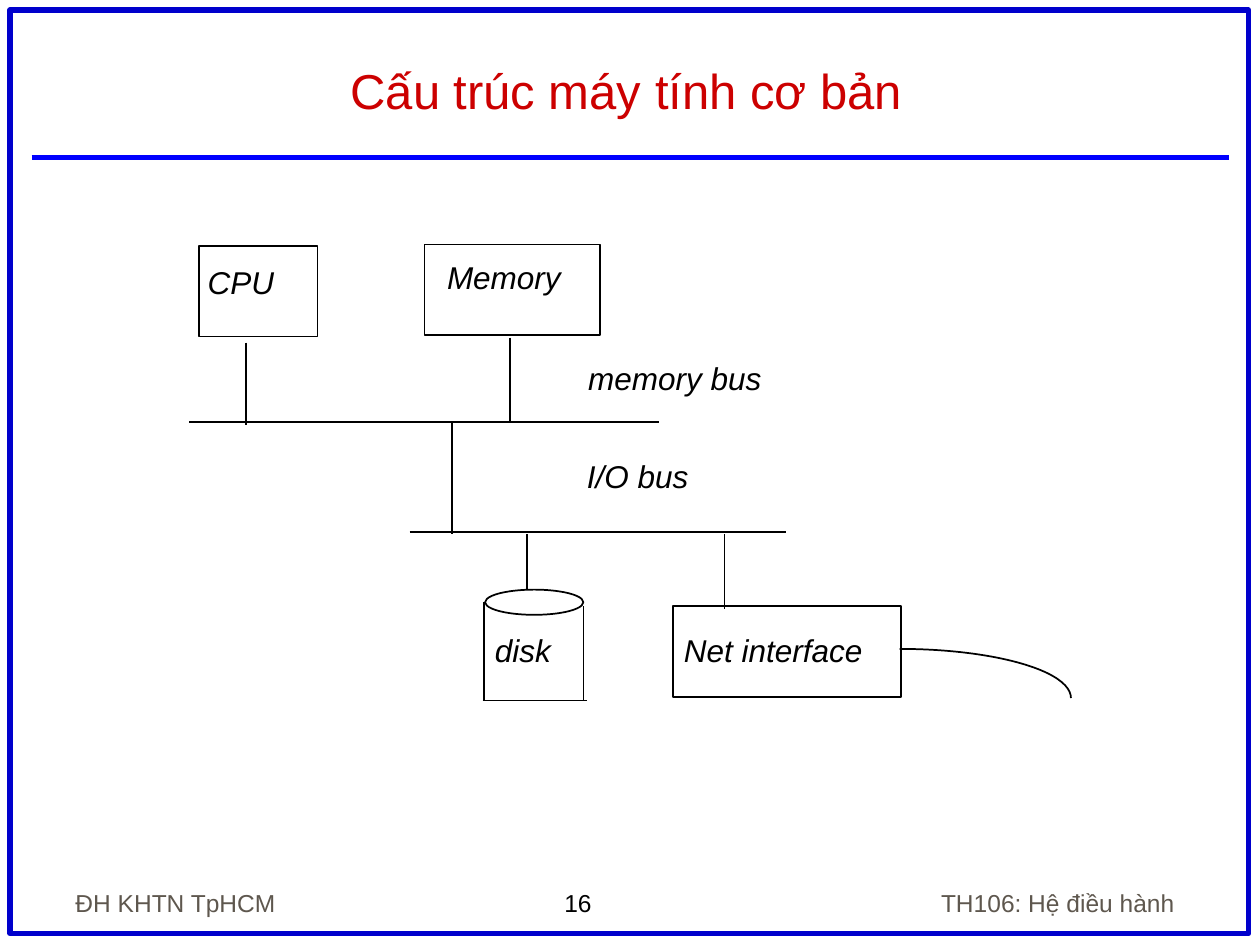
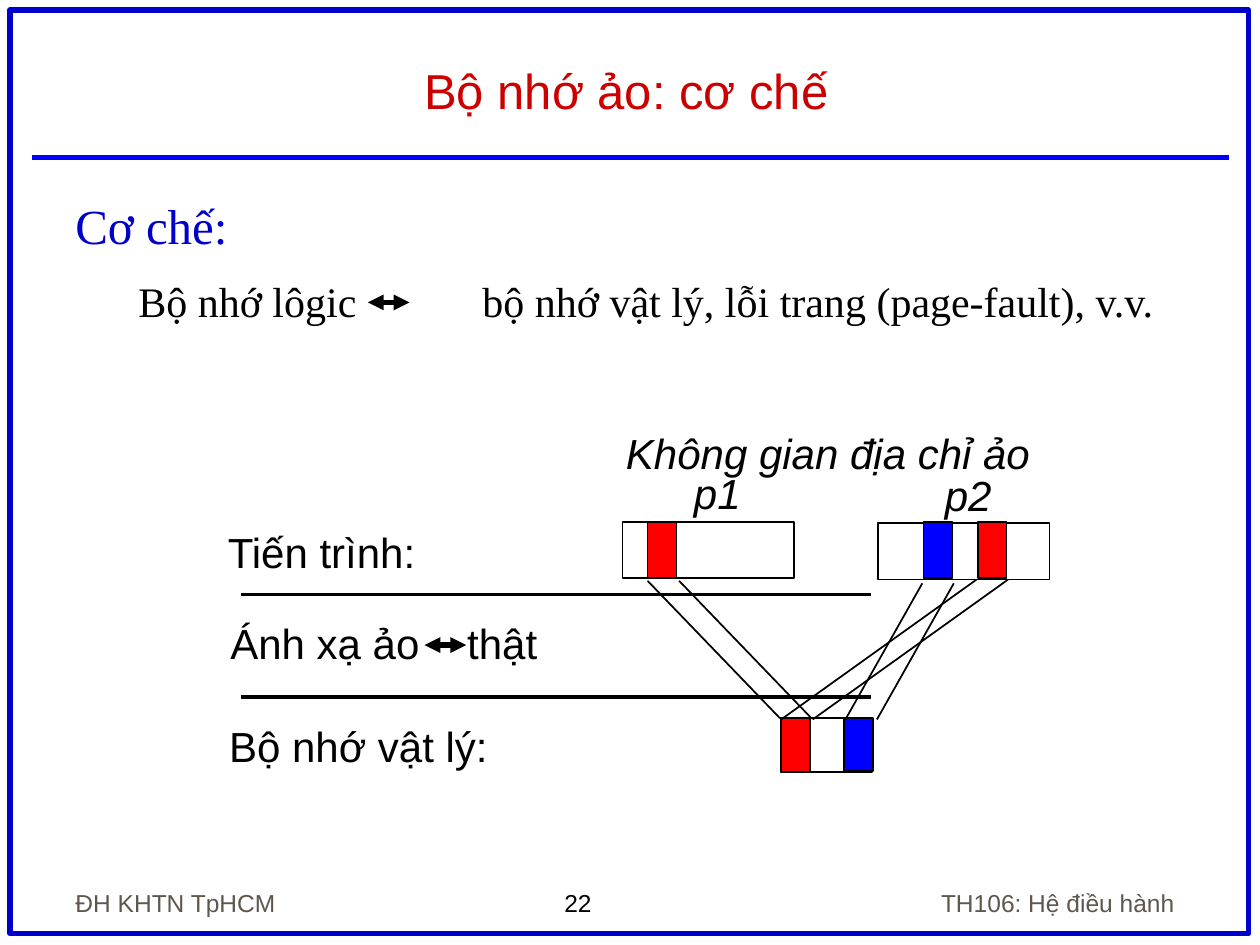
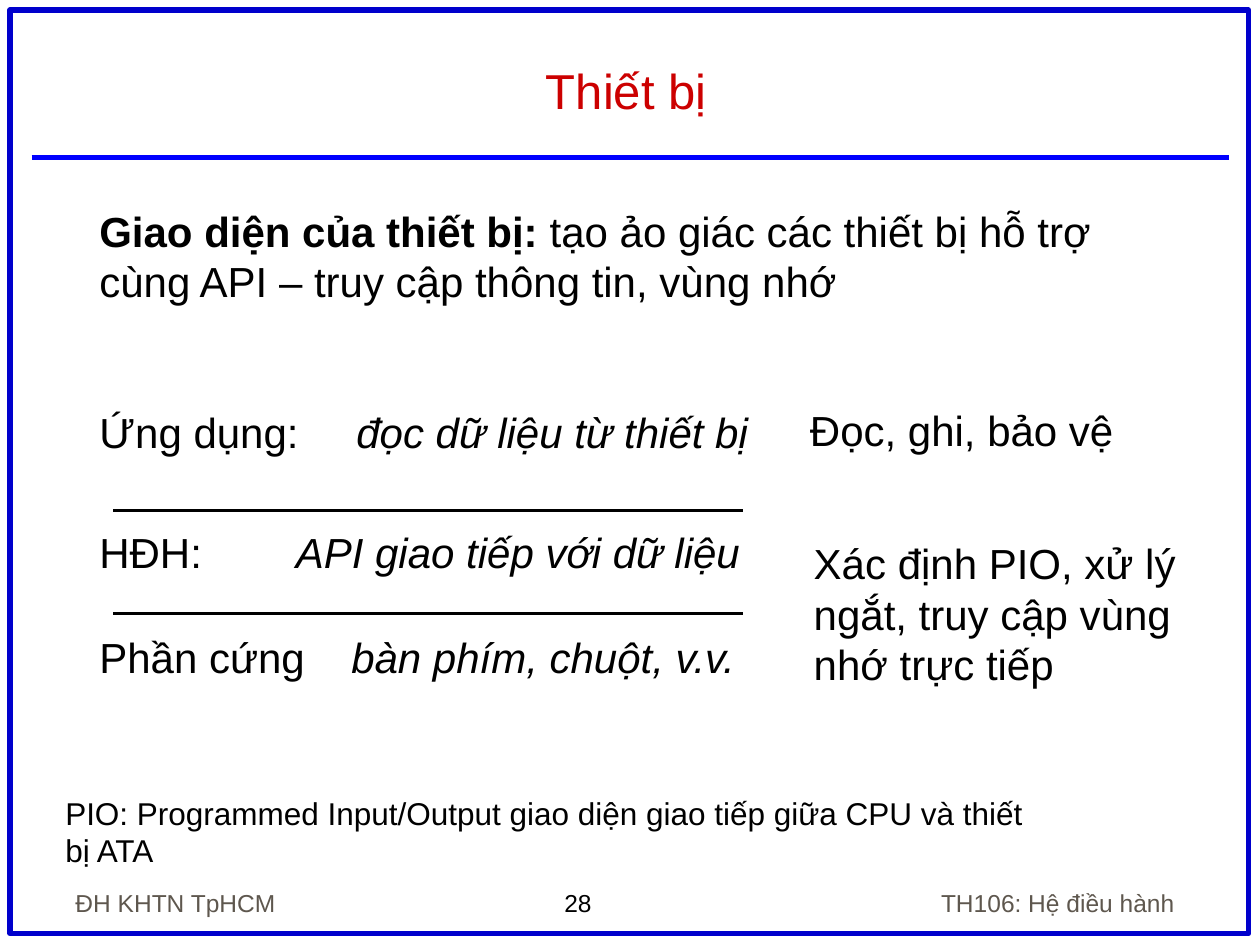
from dataclasses import dataclass

from pptx import Presentation
from pptx.dml.color import RGBColor
from pptx.enum.shapes import MSO_CONNECTOR, MSO_SHAPE
from pptx.enum.text import MSO_ANCHOR, MSO_AUTO_SIZE, PP_ALIGN
from pptx.oxml.ns import qn
from pptx.util import Inches, Pt
from lxml.etree import SubElement


@dataclass(frozen=True)
class Theme:
    sans: str = "Arial"
    serif: str = "Times New Roman"
    black: RGBColor = RGBColor(0x00, 0x00, 0x00)
    white: RGBColor = RGBColor(0xFF, 0xFF, 0xFF)
    red: RGBColor = RGBColor(0xFF, 0x00, 0x00)
    blue: RGBColor = RGBColor(0x00, 0x00, 0xFF)
    navy: RGBColor = RGBColor(0x00, 0x00, 0xCC)
    title_red: RGBColor = RGBColor(0xCC, 0x00, 0x00)
    footer_grey: RGBColor = RGBColor(0x5E, 0x57, 0x4E)
    title_size: int = 28
    body_size: int = 24
    label_size: int = 18
    footer_size: int = 14
    thin: int = 1
    medium: int = 2
    thick: int = 3


THEME = Theme()


# Text
def style(paragraph, size, color=THEME.black, font=THEME.sans, italic=None):
    paragraph.font.size = Pt(size)
    paragraph.font.color.rgb = color
    paragraph.font.name = font
    paragraph.font.italic = italic


def set_tab(paragraph, position):
    tabs = SubElement(paragraph._p.get_or_add_pPr(), qn("a:tabLst"))
    SubElement(tabs, qn("a:tab"), pos=str(Inches(position)), algn="l")


def add_text(slide, left, top, width, height, text="", size=THEME.body_size,
             color=THEME.black, italic=None, align=PP_ALIGN.LEFT,
             anchor=MSO_ANCHOR.TOP, tab=None):
    box = slide.shapes.add_textbox(
        Inches(left), Inches(top), Inches(width), Inches(height))
    frame = box.text_frame
    frame.word_wrap = True
    frame.vertical_anchor = anchor
    paragraph = frame.paragraphs[0]
    paragraph.text = text
    paragraph.alignment = align
    if tab:
        set_tab(paragraph, tab)
    style(paragraph, size, color, italic=italic)
    return paragraph


def add_label(slide, left, top, width, text):
    add_text(slide, left, top, width, 0.4, text, THEME.label_size, italic=True)


# Lines and shapes
def add_line(slide, x1, y1, x2, y2, width=THEME.thin, color=THEME.black):
    line = slide.shapes.add_connector(
        MSO_CONNECTOR.STRAIGHT, Inches(x1), Inches(y1), Inches(x2), Inches(y2))
    line.line.color.rgb = color
    line.line.width = Pt(width)
    SubElement(line._element.spPr, qn("a:effectLst"))
    return line


def add_double_arrow(slide, left, y):
    arrow = add_line(slide, left, y, left + 0.33, y, THEME.thick)
    for end in ("a:headEnd", "a:tailEnd"):
        SubElement(arrow.line._get_or_add_ln(), qn(end), type="triangle")


def add_outlined(slide, left, top, width, height, fill=THEME.white,
                 kind=MSO_SHAPE.RECTANGLE, color=THEME.black, weight=THEME.thin):
    shape = slide.shapes.add_shape(
        kind, Inches(left), Inches(top), Inches(width), Inches(height))
    shape.shadow.inherit = False
    if fill is None:
        shape.fill.background()
    else:
        shape.fill.solid()
        shape.fill.fore_color.rgb = fill
    shape.line.color.rgb = color
    shape.line.width = Pt(weight)


# Frame, rule, footers and title of every slide
def add_slide(prs, title, number):
    slide = prs.slides.add_slide(prs.slide_layouts[5])
    add_outlined(slide, 0.08, 0.08, 9.83, 7.33, None,
                 color=THEME.navy, weight=THEME.thick)
    add_line(slide, 0.25, 1.25, 9.75, 1.25, THEME.thick, THEME.blue)

    add_text(slide, 4.38, 7, 1.09, 0.34, number, THEME.footer_size)
    add_text(slide, 0.5, 6.83, 2.08, 0.5, "ĐH KHTN TpHCM", THEME.footer_size,
             THEME.footer_grey, anchor=MSO_ANCHOR.BOTTOM)
    add_text(slide, 6.67, 6.83, 2.75, 0.5, "TH106: Hệ điều hành",
             THEME.footer_size, THEME.footer_grey, align=PP_ALIGN.RIGHT,
             anchor=MSO_ANCHOR.BOTTOM)

    heading = slide.shapes.title
    heading.left, heading.top = Inches(0.44), Inches(0.25)
    heading.width, heading.height = Inches(9.06), Inches(0.75)
    frame = heading.text_frame
    frame.text = title
    frame.auto_size = MSO_AUTO_SIZE.NONE
    frame.vertical_anchor = MSO_ANCHOR.BOTTOM
    frame.paragraphs[0].alignment = PP_ALIGN.CENTER
    style(frame.paragraphs[0], THEME.title_size, THEME.title_red)
    return slide


def build_computer_structure(prs):
    slide = add_slide(prs, "Cấu trúc máy tính cơ bản", "16")

    # Units
    for left, top, width in ((1.58, 1.95, 0.94), (3.37, 1.94, 1.39),
                             (5.34, 4.81, 1.81)):
        add_outlined(slide, left, top, width, 0.72)

    # Buses and their links
    memory_bus, io_bus = 3.35, 4.22
    add_line(slide, 1.5, memory_bus, 5.23, memory_bus)
    add_line(slide, 3.25, io_bus, 6.24, io_bus)
    for x, top, bottom in ((1.95, 2.72, 3.37), (4.05, 2.68, memory_bus),
                           (3.59, memory_bus, 4.24), (4.18, 4.24, 4.69),
                           (5.75, 4.24, 4.83)):
        add_line(slide, x, top, x, bottom)

    # Disk
    add_outlined(slide, 3.85, 4.68, 0.78, 0.2, kind=MSO_SHAPE.OVAL)
    add_line(slide, 3.84, 4.78, 3.84, 5.56)
    add_line(slide, 4.63, 4.81, 4.63, 5.56)
    add_line(slide, 3.83, 5.56, 4.66, 5.56)

    # Network cable: upper right quarter of an ellipse
    add_outlined(slide, 5.78, 5.15, 2.72, 0.78, None, MSO_SHAPE.ARC)

    for left, top, width, text in (
            (1.55, 2.04, 0.9, "CPU"), (3.45, 2, 1.3, "Memory"),
            (4.57, 2.8, 1.8, "memory bus"), (4.56, 3.58, 1.2, "I/O bus"),
            (3.83, 4.96, 0.8, "disk"), (5.33, 4.96, 1.8, "Net interface")):
        add_label(slide, left, top, width, text)


def build_virtual_memory(prs):
    slide = add_slide(prs, "Bộ nhớ ảo: cơ chế", "22")

    # Mechanism
    heading = add_text(slide, 0.5, 1.5, 8.94, 2.48, "Cơ chế:")
    style(heading, THEME.title_size, THEME.navy, THEME.serif)
    mapping = slide.shapes[-1].text_frame.add_paragraph()
    mapping.text = ("Bộ nhớ lôgic\tbộ nhớ vật lý, "
                    "lỗi trang (page-fault), v.v.")
    mapping.space_before = Pt(12)
    mapping._p.get_or_add_pPr().set("marL", str(Inches(0.5)))
    set_tab(mapping, 2.73)
    style(mapping, THEME.body_size, font=THEME.serif)
    add_double_arrow(slide, 2.92, 2.4)

    # Layers
    for y in (4.72, 5.53):
        add_line(slide, 1.91, y, 6.91, y, THEME.medium)
    add_text(slide, 1.71, 4.13, 2.66, 0.5, "Tiến trình:")
    add_text(slide, 1.73, 4.85, 2.81, 0.5, "Ánh xạ ảo\tthật", tab=1.88)
    add_text(slide, 1.72, 5.67, 3.2, 0.5, "Bộ nhớ vật lý:")
    add_double_arrow(slide, 3.37, 5.12)

    # Address spaces and physical memory
    for left, top, width, height in ((4.94, 4.14, 1.36, 0.45),
                                     (6.97, 4.15, 1.36, 0.45),
                                     (6.2, 5.7, 0.72, 0.43)):
        add_outlined(slide, left, top, width, height)

    # Pages
    for left, top, height, color in (
            (5.14, 4.14, 0.45, THEME.red), (7.33, 4.14, 0.45, THEME.blue),
            (7.76, 4.14, 0.45, THEME.red), (6.2, 5.7, 0.43, THEME.red),
            (6.7, 5.7, 0.42, THEME.blue)):
        add_outlined(slide, left, top, 0.23, height, color)

    # Both edges of each page lead to its place in physical memory
    for page_x, page_y, place_x, place_y in (
            (5.14, 4.61, 6.19, 5.7), (7.32, 4.63, 6.71, 5.71),
            (7.75, 4.6, 6.2, 5.71)):
        for edge in (0, 0.25):
            add_line(slide, page_x + edge, page_y, place_x + edge, place_y)

    for left, top, width, text in ((4.87, 3.34, 3.6, "Không gian địa chỉ ảo"),
                                   (5.41, 3.66, 0.7, "p1"),
                                   (7.4, 3.68, 0.7, "p2")):
        add_text(slide, left, top, width, 0.5, text, italic=True)


def build_devices(prs):
    slide = add_slide(prs, "Thiết bị", "28")

    # Device interface
    interface = add_text(slide, 0.69, 1.58, 8.4, 0.9)
    interface.add_run().text = "Giao diện của thiết bị:"
    interface.runs[0].font.bold = True
    interface.add_run().text = (" tạo ảo giác các thiết bị hỗ trợ cùng API"
                                " – truy cập thông tin, vùng nhớ")

    # Layers
    for y in (4.05, 4.87):
        add_line(slide, 0.9, y, 5.9, y, THEME.medium)
    for top, layer, tab, example in (
            (3.18, "Ứng dụng:", 2.04, "đọc dữ liệu từ thiết bị"),
            (4.13, "HĐH:", 1.56, "API giao tiếp với dữ liệu"),
            (4.96, "Phần cứng", 2.0, "bàn phím, chuột, v.v.")):
        row = add_text(slide, 0.69, top, 5.5, 0.5, layer + "\t", tab=tab)
        example_run = row.add_run()
        example_run.text = example
        example_run.font.italic = True

    # Tasks
    add_text(slide, 6.33, 3.16, 3.34, 0.5, "Đọc, ghi, bảo vệ")
    add_text(slide, 6.36, 4.22, 3.39, 1.3,
             "Xác định PIO, xử lý ngắt, truy cập vùng nhớ trực tiếp")

    add_text(slide, 0.42, 6.25, 7.83, 0.7,
             "PIO: Programmed Input/Output giao diện giao tiếp giữa CPU"
             " và thiết bị ATA", THEME.label_size)


def main():
    prs = Presentation()
    prs.slide_width, prs.slide_height = Inches(10), Inches(7.5)
    build_computer_structure(prs)
    build_virtual_memory(prs)
    build_devices(prs)
    prs.save("out.pptx")


if __name__ == "__main__":
    main()
